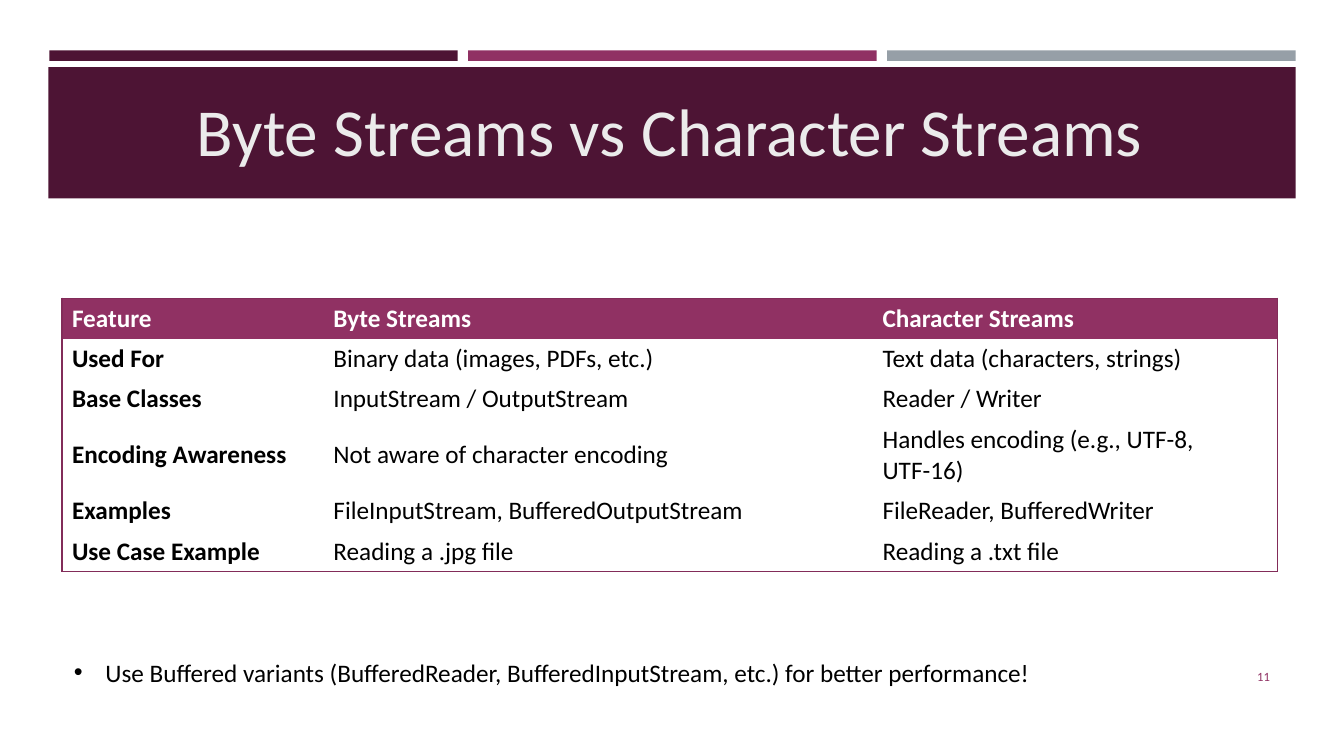
import pptx
import pptx.util
import pptx.dml.color
import pptx.enum.shapes
import pptx.enum.text
import pptx.oxml.ns
import pptx.oxml.xmlchemy
import lxml.etree

PX = 9525  # EMU per px, 96 px to the inch
FONT = "Calibri"
COLORS = {
    "plum": "4D1434", "magenta": "903163", "grey": "969FA7", "border": "822C59",
    "title": "EBEBEB", "white": "FFFFFF", "black": "000000",
}
ALIGN = pptx.enum.text.PP_ALIGN
ANCHOR = pptx.enum.text.MSO_ANCHOR
ROWS = [
    ("Feature", "Byte Streams", "Character Streams"),
    ("Used For", "Binary data (images, PDFs, etc.)", "Text data (characters, strings)"),
    ("Base Classes", "InputStream / OutputStream", "Reader / Writer"),
    ("Encoding Awareness", "Not aware of character encoding", "Handles encoding (e.g., UTF-8, UTF-16)"),
    ("Examples", "FileInputStream, BufferedOutputStream", "FileReader, BufferedWriter"),
    ("Use Case Example", "Reading a .jpg file", "Reading a .txt file"),
]


def rgb(name):
    return pptx.dml.color.RGBColor.from_string(COLORS[name])


def emu(*lengths):
    return [n * PX for n in lengths]


def style(p, size, color, bold=False, align=ALIGN.LEFT):
    p.alignment = align
    p.font.name = FONT
    p.font.size = pptx.util.Pt(size)
    p.font.bold = bold
    p.font.color.rgb = rgb(color)


def add_bar(s, box, color):
    bar = s.shapes.add_shape(pptx.enum.shapes.MSO_SHAPE.RECTANGLE, *emu(*box))
    bar.shadow.inherit = False
    bar.fill.solid()
    bar.fill.fore_color.rgb = rgb(color)
    bar.line.fill.background()


def add_text(s, box, text, size, color, align=ALIGN.LEFT, anchor=ANCHOR.TOP):
    tf = s.shapes.add_textbox(*emu(*box)).text_frame
    tf.word_wrap = True
    tf.vertical_anchor = anchor
    p = tf.paragraphs[0]
    p.text = text
    style(p, size, color, align=align)
    return p


def add_header(s, x, y, w, h):
    # Three accent strips over the title band
    gap, strip_h, band_top = 10, 10, 16
    strip_w = (w - 2 * gap) // 3
    for i, color in enumerate(("plum", "magenta", "grey")):
        add_bar(s, (x + 1 + i * (strip_w + gap), y, strip_w, strip_h), color)
    add_bar(s, (x, y + band_top, w, h - band_top), "plum")
    add_text(s, (x + 3, y + 32, w - 10, 87), "Byte Streams vs Character Streams",
             48, "title", ALIGN.CENTER)


def set_borders(cell, sides):
    # Draw the named sides and hide the others
    tcPr = cell._tc.get_or_add_tcPr()
    for i, side in enumerate("LRTB"):
        ln = pptx.oxml.xmlchemy.OxmlElement(f"a:ln{side}")
        ln.set("w", str(pptx.util.Pt(1)))
        if side in sides:
            fill = lxml.etree.SubElement(ln, pptx.oxml.ns.qn("a:solidFill"))
            clr = lxml.etree.SubElement(fill, pptx.oxml.ns.qn("a:srgbClr"))
            clr.set("val", COLORS["border"])
        else:
            lxml.etree.SubElement(ln, pptx.oxml.ns.qn("a:noFill"))
        tcPr.insert(i, ln)


def add_comparison(s, x, y, w, h):
    col_widths = (249, 523, w - 249 - 523)
    row_h, tall_row, tall_h = 38, 3, h - 5 * 38
    last_row, last_col = len(ROWS) - 1, len(col_widths) - 1
    table = s.shapes.add_table(len(ROWS), len(col_widths), *emu(x, y, w, h)).table
    table.horz_banding = False
    for col, width in zip(table.columns, col_widths):
        col.width = width * PX
    for i, texts in enumerate(ROWS):
        table.rows[i].height = (tall_h if i == tall_row else row_h) * PX
        for j, text in enumerate(texts):
            cell = table.cell(i, j)
            cell.text = text
            cell.vertical_anchor = ANCHOR.MIDDLE
            style(cell.text_frame.paragraphs[0], 18, "black" if i else "white",
                  bold=i == 0 or j == 0)
            if i == 0:
                cell.fill.solid()
                cell.fill.fore_color.rgb = rgb("magenta")
            else:
                cell.fill.background()
            edges = {"L": j == 0, "R": j == last_col, "T": i == 0, "B": i == last_row}
            set_borders(cell, [side for side, on in edges.items() if on])


def add_footer(s, x, y, w, h):
    # Bulleted tip on the left, slide number on the right
    p = add_text(s, (x, y, 1005, h), "Use Buffered variants (BufferedReader, "
                 "BufferedInputStream, etc.) for better performance!", 18, "black")
    pPr = p._p.get_or_add_pPr()
    pPr.set("marL", str(30 * PX))
    pPr.set("indent", str(-30 * PX))
    bullet_font = pptx.oxml.xmlchemy.OxmlElement("a:buFont")
    bullet_font.set("typeface", "Arial")
    bullet = pptx.oxml.xmlchemy.OxmlElement("a:buChar")
    bullet.set("char", "•")
    pPr.insert(0, bullet_font)
    pPr.insert(1, bullet)
    add_text(s, (x + w - 110, y + 4, 110, h), "11", 9, "magenta", ALIGN.RIGHT, ANCHOR.MIDDLE)


def main():
    prs = pptx.Presentation()
    prs.slide_width, prs.slide_height = emu(1280, 720)
    s = prs.slides.add_slide(prs.slide_layouts[6])
    add_header(s, 46, 48, 1188, 141)
    add_comparison(s, 59, 284, 1158, 258)
    add_footer(s, 61, 621, 1158, 38)
    prs.save("out.pptx")


if __name__ == "__main__":
    main()
